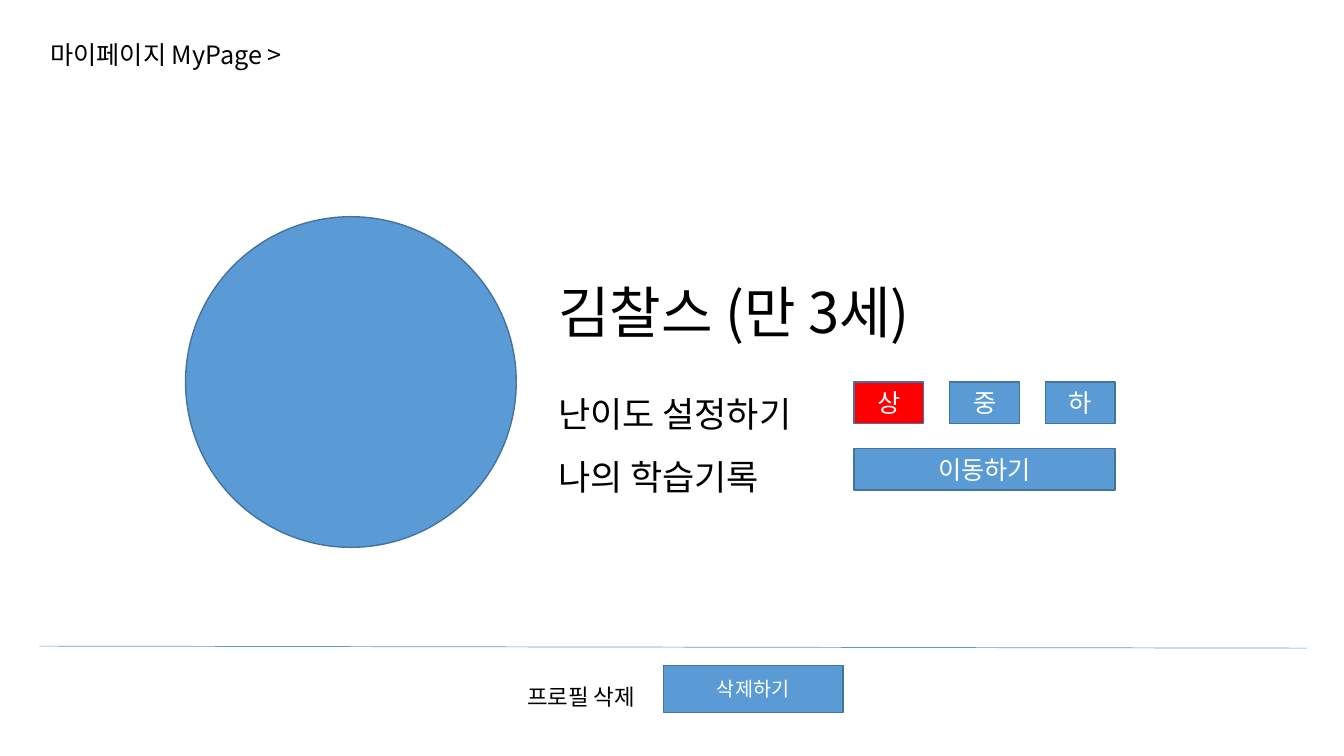
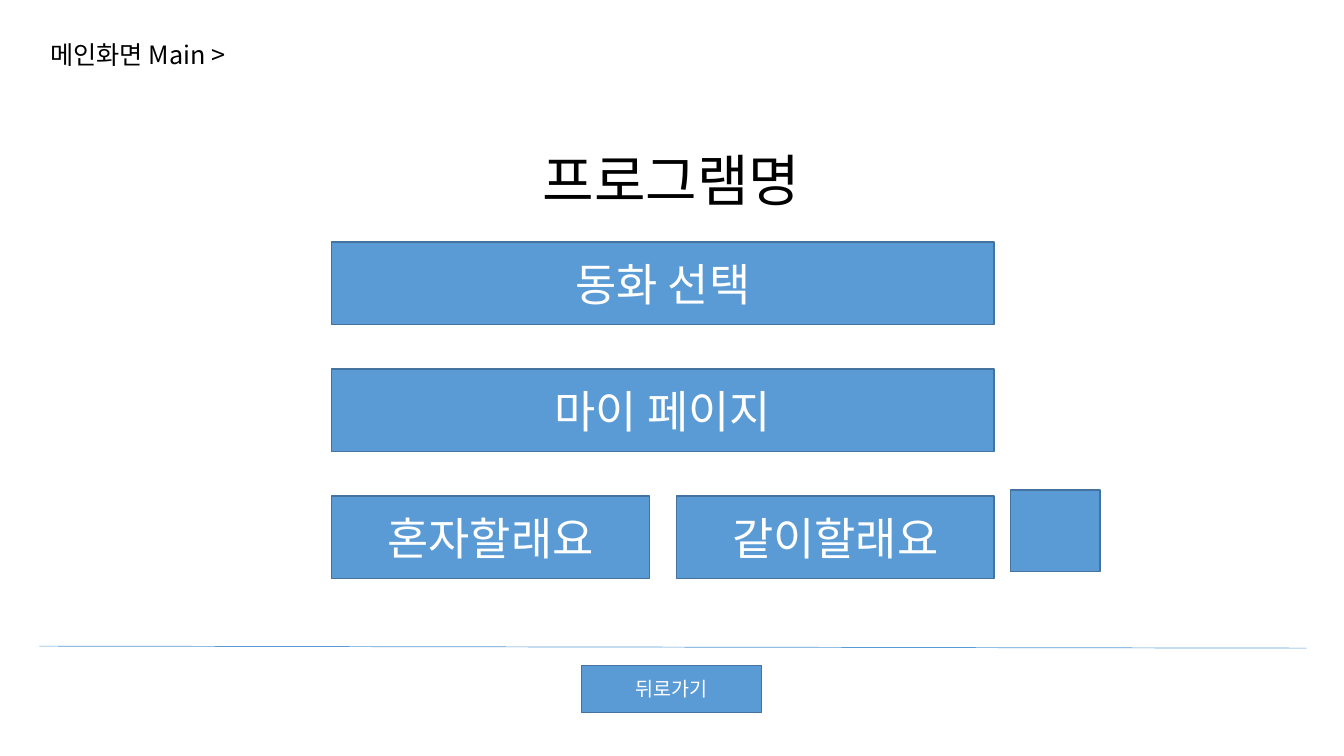
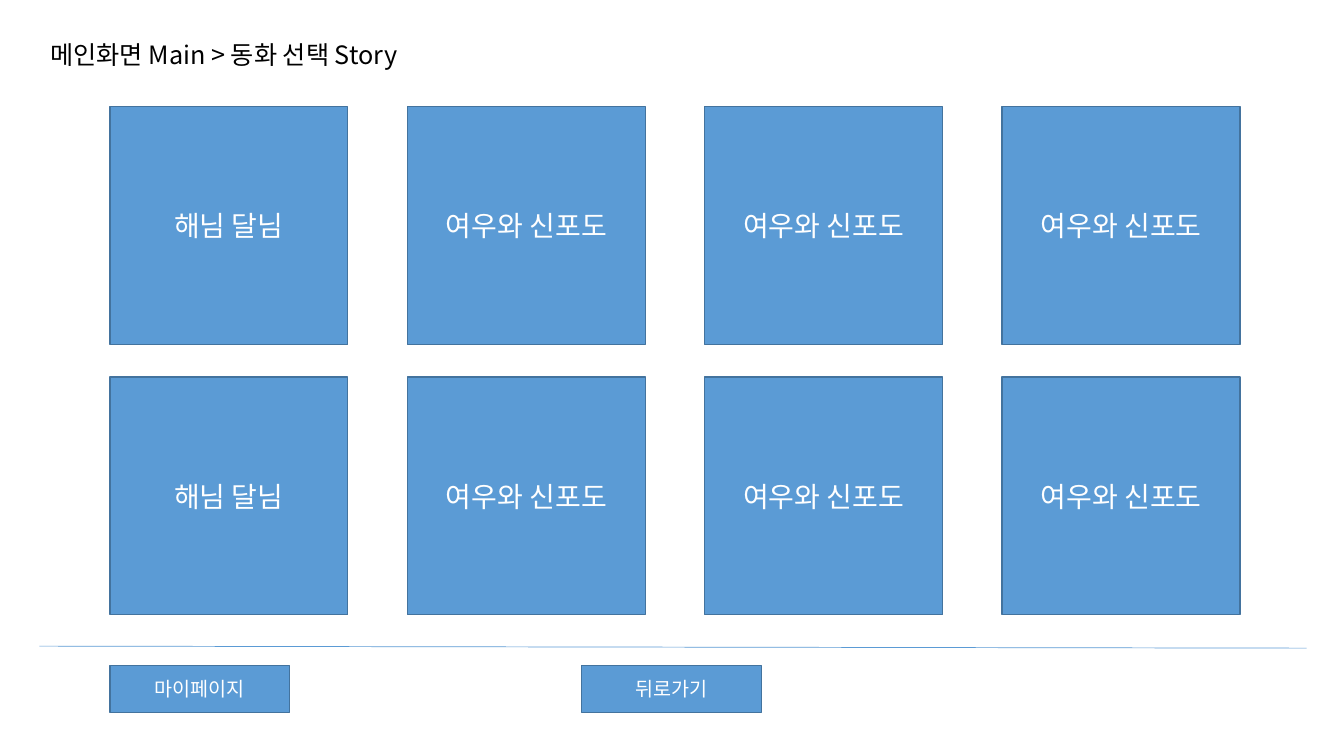
from lxml import etree
from pptx import Presentation
from pptx.dml.color import RGBColor
from pptx.enum import shapes, text
from pptx.oxml import ns
from pptx.util import Inches, Pt

FONT = "Noto Sans CJK KR"
BLUE, EDGE, RED = "5B9BD5", "43739E", "FF0000"
BLACK, WHITE = "000000", "FFFFFF"
RECTANGLE = shapes.MSO_SHAPE.RECTANGLE
CENTER = text.PP_ALIGN.CENTER

# Shared footer measures
FOOTER_TOP = 6.6
FOOTER_BUTTON = (1.78, 0.47)
BACK_LEFT = 5.77


def color(value):
    return RGBColor.from_string(value)


def apply_format(target, values):
    for name, value in values.items():
        setattr(target, name, value)


def write(frame, lines, size, fill, **paragraph_format):
    """Fill a text frame with one paragraph per line."""
    for index, line in enumerate(lines):
        paragraph = frame.add_paragraph() if index else frame.paragraphs[0]
        apply_format(paragraph, paragraph_format)
        run = paragraph.add_run()
        run.text = line
        apply_format(run.font, {"name": FONT, "size": Pt(size)})
        run.font.color.rgb = color(fill)
        # Hangul takes the East Asian typeface
        east_asian = etree.SubElement(run.font._element, ns.qn("a:ea"))
        east_asian.set("typeface", FONT)


def add_label(slide, box, lines, size, wrap=True, **paragraph_format):
    label = slide.shapes.add_textbox(*map(Inches, box))
    apply_format(label.text_frame, {
        "word_wrap": wrap,
        "auto_size": text.MSO_AUTO_SIZE.SHAPE_TO_FIT_TEXT,
    })
    write(label.text_frame, lines, size, BLACK, **paragraph_format)


def add_block(slide, box, caption="", size=18, fill=BLUE, kind=RECTANGLE):
    """Outlined shape with an optional centred caption."""
    shape = slide.shapes.add_shape(kind, *map(Inches, box))
    shape.shadow.inherit = False
    shape.fill.solid()
    shape.fill.fore_color.rgb = color(fill)
    shape.line.color.rgb = color(EDGE)
    shape.line.width = Pt(1)
    if caption:
        apply_format(shape.text_frame, {
            "word_wrap": True,
            "vertical_anchor": text.MSO_ANCHOR.MIDDLE,
        })
        write(shape.text_frame, [caption], size, WHITE, alignment=CENTER)


def add_footer(slide, buttons):
    """Dividing line and the buttons below it, given as (left, caption)."""
    ends = map(Inches, (0.39, 6.41, 12.96, 6.43))
    line = slide.shapes.add_connector(shapes.MSO_CONNECTOR.STRAIGHT, *ends)
    line.line.color.rgb = color(BLUE)
    line.line.width = Pt(0.5)
    etree.SubElement(line._element.spPr, ns.qn("a:effectLst"))
    for left, caption in buttons:
        add_block(slide, (left, FOOTER_TOP, *FOOTER_BUTTON), caption, 14)


def add_screen(presentation, breadcrumb, buttons):
    """Blank slide with the breadcrumb and footer that all screens share."""
    slide = presentation.slides.add_slide(presentation.slide_layouts[6])
    add_label(slide, (0.4, 0.34, 9.19, 0.4), [breadcrumb], 18)
    add_footer(slide, buttons)
    return slide


def add_profile(slide, left, top):
    # Portrait and name
    add_block(slide, (left, top, 3.28, 3.28), kind=shapes.MSO_SHAPE.OVAL)
    add_label(slide, (left + 3.6, top + 0.55, 5.79, 0.77), ["김찰스 (만 3세)"], 40)

    # Settings
    add_label(slide, (left + 3.6, top + 1.49, 3.4, 1.36),
              ["난이도 설정하기", "나의 학습기록"], 25, line_spacing=1.5)
    controls_left, height = left + 6.63, 0.41
    levels = [("상", RED), ("중", BLUE), ("하", BLUE)]
    for index, (level, fill) in enumerate(levels):
        box = (controls_left + index * 0.95, top + 1.64, 0.69, height)
        add_block(slide, box, level, fill=fill)
    add_block(slide, (controls_left, top + 2.3, 2.59, height), "이동하기")


def add_menu(slide, left, top, width):
    height, pitch, gap = 0.82, 1.26, 0.27
    rows = [["동화 선택"], ["마이 페이지"], ["혼자할래요", "같이할래요"]]
    for row, captions in enumerate(rows):
        count = len(captions)
        button_width = (width - gap * (count - 1)) / count
        for column, caption in enumerate(captions):
            box = (left + column * (button_width + gap), top + row * pitch,
                   button_width, height)
            add_block(slide, box, caption, 32)
    # Small square beside the last row
    add_block(slide, (left + width + 0.16, top + 2.46, 0.89, 0.81))


def add_story_grid(slide, left, top):
    side, column_pitch, row_pitch = 2.36, 2.95, 2.68
    stories = ["해님 달님"] + ["여우와 신포도"] * 3
    for row in range(2):
        for column, story in enumerate(stories):
            box = (left + column * column_pitch, top + row * row_pitch, side, side)
            add_block(slide, box, story, 20)


def main():
    presentation = Presentation()
    apply_format(presentation, {"slide_width": Inches(13.33),
                                "slide_height": Inches(7.5)})
    back = (BACK_LEFT, "뒤로가기")

    # My page
    slide = add_screen(presentation, "마이페이지 MyPage >", [(6.58, "삭제하기")])
    add_profile(slide, 1.84, 2.15)
    add_label(slide, (5.13, FOOTER_TOP, 1.34, 0.47), ["프로필 삭제"], 16,
              wrap=False, line_spacing=1.5)

    # Main screen
    slide = add_screen(presentation, "메인화면 Main >", [back])
    add_label(slide, (1.5, 1.06, 10.32, 1.03), ["프로그램명"], 40,
              alignment=CENTER, line_spacing=1.5)
    add_menu(slide, 3.29, 2.4, 6.57)

    # Story selection
    slide = add_screen(presentation, "메인화면 Main > 동화 선택 Story",
                       [(1.09, "마이페이지"), back])
    add_story_grid(slide, 1.09, 1.06)

    presentation.save("out.pptx")


if __name__ == "__main__":
    main()
